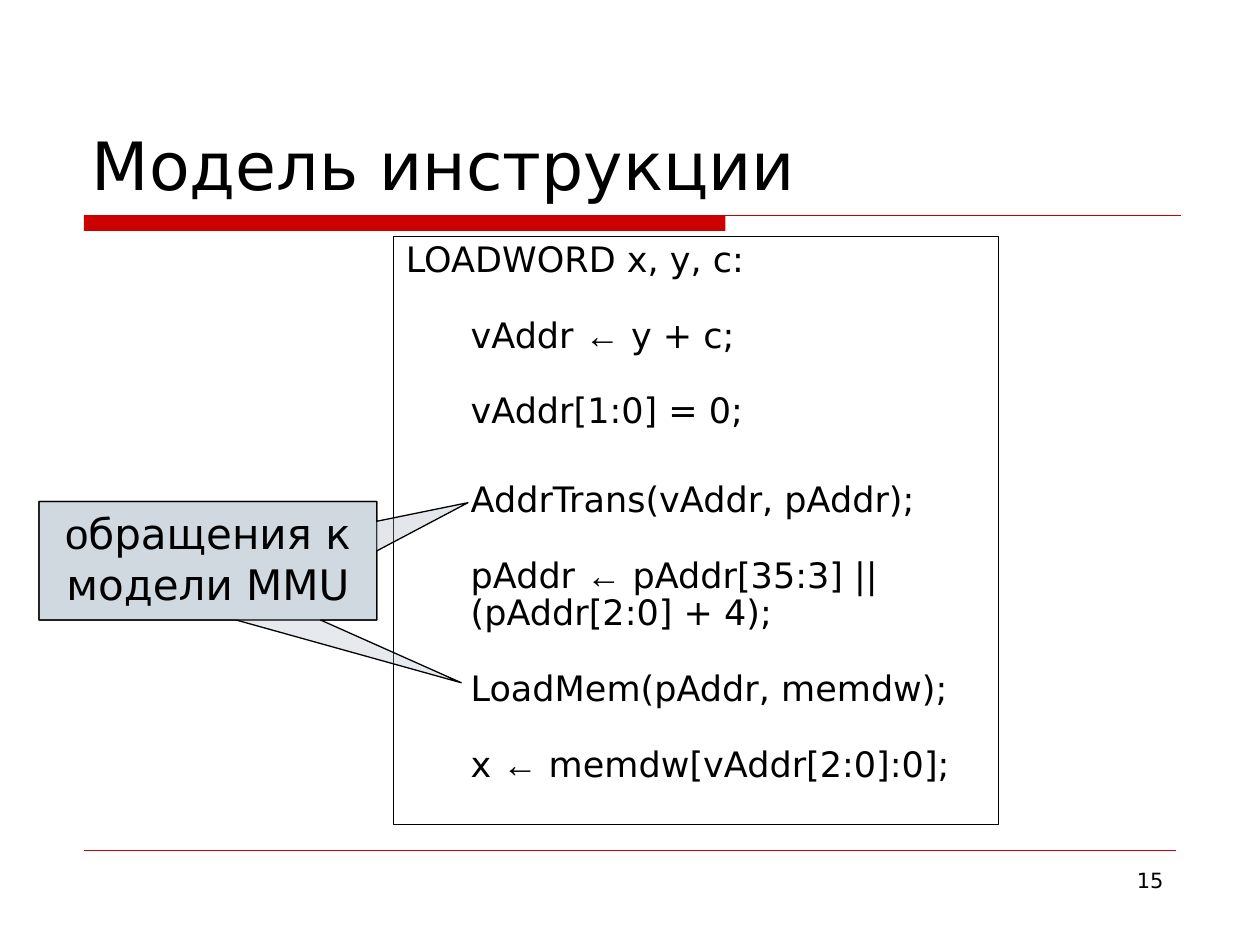
from dataclasses import dataclass

from lxml.etree import SubElement
from pptx import Presentation
from pptx.dml.color import RGBColor
from pptx.enum.shapes import MSO_CONNECTOR, MSO_SHAPE
from pptx.enum.text import MSO_ANCHOR, PP_ALIGN
from pptx.oxml.ns import qn
from pptx.util import Pt


@dataclass(frozen=True)
class Theme:
    red: RGBColor = RGBColor(0xCC, 0x00, 0x00)
    black: RGBColor = RGBColor(0x00, 0x00, 0x00)
    callout: RGBColor = RGBColor(0xA3, 0xB2, 0xC1)
    font: str = "DejaVu Sans"
    alt_font: str = "Arial"
    title: int = 38
    note: int = 24
    code: int = 20
    number: int = 12


@dataclass(frozen=True)
class Box:
    x: float
    y: float
    w: float
    h: float

    def lengths(self) -> list:
        return [Pt(v) for v in (self.x, self.y, self.w, self.h)]


@dataclass(frozen=True)
class CodeLine:
    text: str
    indent: float = 37
    before: float = 21.6


@dataclass(frozen=True)
class Callout:
    tip_x: float
    tip_y: float
    opacity: int


THEME = Theme()
CODE = [
    CodeLine("LOADWORD x, y, c:", indent=0, before=0),
    CodeLine("vAddr ← y + c;"),
    CodeLine("vAddr[1:0] = 0;"),
    CodeLine("AddrTrans(vAddr, pAddr);", before=29),
    CodeLine("pAddr ← pAddr[35:3] ||\v(pAddr[2:0] + 4);"),
    CodeLine("LoadMem(pAddr, memdw);"),
    CodeLine("x ← memdw[vAddr[2:0]:0];"),
]
CALLOUTS = [Callout(0.75, 1.03, 27), Callout(0.77, -0.49, 30)]
CALLOUT_BOX = Box(22.3, 286.6, 193, 67.7)


def apply(target, formats: dict) -> None:
    for name, value in formats.items():
        setattr(target, name, value)


def add_text(p, text: str, size: int, alt: str = "") -> None:
    """Add runs to p; the part equal to alt takes the second font."""
    before, found, after = text.partition(alt) if alt else (text, "", "")
    for part, font in ((before, THEME.font), (found, THEME.alt_font), (after, THEME.font)):
        if not part:
            continue
        for i, piece in enumerate(part.split("\v")):
            if i:
                p.add_line_break()
            r = p.add_run()
            r.text = piece
            apply(r.font, {"name": font, "size": Pt(size)})
            r.font.color.rgb = THEME.black


def add_label(s, box: Box, text: str, size: int, align, anchor) -> None:
    tf = s.shapes.add_textbox(*box.lengths()).text_frame
    apply(tf, {"word_wrap": True, "vertical_anchor": anchor})
    tf.paragraphs[0].alignment = align
    add_text(tf.paragraphs[0], text, size)


def add_box(s, kind, box: Box, fill=None, line=None):
    sp = s.shapes.add_shape(kind, *box.lengths())
    sp.shadow.inherit = False
    if fill is None:
        sp.fill.background()
    else:
        sp.fill.solid()
        sp.fill.fore_color.rgb = fill
    if line is None:
        sp.line.fill.background()
    else:
        sp.line.color.rgb = line
        sp.line.width = Pt(0.75)
    apply(sp.text_frame, {"word_wrap": True, "vertical_anchor": MSO_ANCHOR.TOP})
    return sp


def add_rule(s, x1: float, x2: float, y: float, width: float) -> None:
    line = s.shapes.add_connector(MSO_CONNECTOR.STRAIGHT, Pt(x1), Pt(y), Pt(x2), Pt(y))
    line.line.color.rgb = THEME.red
    line.line.width = Pt(width)
    SubElement(line._element.spPr, qn("a:effectLst"))


def add_callout(s, callout: Callout):
    sp = add_box(s, MSO_SHAPE.RECTANGULAR_CALLOUT, CALLOUT_BOX, THEME.callout, THEME.black)
    sp.adjustments[0] = callout.tip_x
    sp.adjustments[1] = callout.tip_y
    color = sp._element.spPr.find(qn("a:solidFill"))[0]
    SubElement(color, qn("a:alpha")).set("val", str(callout.opacity * 1000))
    return sp


def add_code(s, box: Box, lines: list[CodeLine]) -> None:
    tf = add_box(s, MSO_SHAPE.RECTANGLE, box, line=THEME.black).text_frame
    for i, line in enumerate(lines):
        p = tf.add_paragraph() if i else tf.paragraphs[0]
        apply(p, {"alignment": PP_ALIGN.LEFT, "line_spacing": 0.9,
                  "space_before": Pt(line.before)})
        p._p.get_or_add_pPr().set("marL", str(Pt(line.indent)))
        add_text(p, line.text, THEME.code, alt="←")


def main() -> None:
    prs = Presentation()
    apply(prs, {"slide_width": Pt(720), "slide_height": Pt(540)})
    s = prs.slides.add_slide(prs.slide_layouts[6])

    # Red bar and rules
    add_box(s, MSO_SHAPE.RECTANGLE, Box(48, 123, 366.5, 9), fill=THEME.red)
    add_rule(s, 48, 674.6, 123.2, 0.75)
    add_rule(s, 48, 672, 486, 0.25)

    # Slide number and title
    add_label(s, Box(516, 492, 156, 37.5), "15", THEME.number,
              PP_ALIGN.RIGHT, MSO_ANCHOR.TOP)
    add_label(s, Box(45.4, 24, 630, 95.8), "Модель инструкции", THEME.title,
              PP_ALIGN.LEFT, MSO_ANCHOR.BOTTOM)

    # Instruction code
    add_code(s, Box(224.9, 135, 345.6, 336), CODE)

    # Two overlaid callouts; the front one holds the text
    front = [add_callout(s, c) for c in CALLOUTS][-1]
    p = front.text_frame.paragraphs[0]
    p.alignment = PP_ALIGN.CENTER
    add_text(p, "обращения к модели MMU", THEME.note, alt="о")

    prs.save("out.pptx")


if __name__ == "__main__":
    main()
